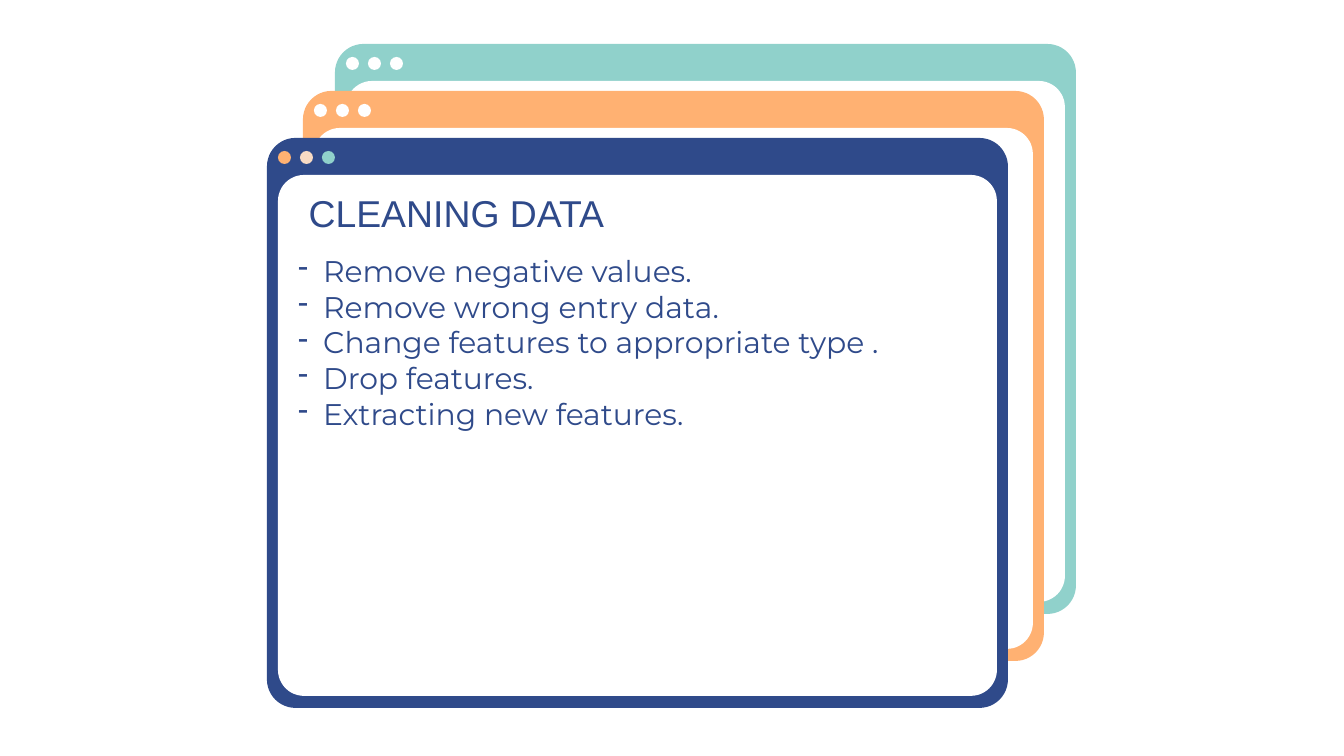
import pptx
import pptx.dml.color
import pptx.enum.shapes
import pptx.enum.text
import pptx.oxml.ns
import pptx.util
from lxml import etree

EMU_PER_PX = 914400 / 134.4
NAVY, ORANGE, TEAL, PEACH, WHITE = "2F4A8A", "FFB172", "90D1CB", "F8DBC4", "FFFFFF"
SHAPES = pptx.enum.shapes.MSO_SHAPE
ALIGN = pptx.enum.text.PP_ALIGN
ANCHOR = pptx.enum.text.MSO_ANCHOR

WINDOWS = [
    (335, 44, TEAL, [WHITE] * 3),
    (303, 91, ORANGE, [WHITE] * 3),
    (267, 138, NAVY, [ORANGE, PEACH, TEAL]),
]
STEPS = [
    "Remove negative values.",
    "Remove wrong entry data.",
    "Change features to appropriate type .",
    "Drop features.",
    "Extracting new features.",
]


def px(length):
    return pptx.util.Emu(round(length * EMU_PER_PX))


def color(value):
    return pptx.dml.color.RGBColor.from_string(value)


def add_filled(slide, kind, left, top, width, height, fill, corner=None):
    shape = slide.shapes.add_shape(kind, px(left), px(top), px(width), px(height))
    shape.shadow.inherit = False
    shape.fill.solid()
    shape.fill.fore_color.rgb = color(fill)
    shape.line.fill.background()
    if corner is not None:
        shape.adjustments[0] = corner


def add_window(slide, left, top, frame, dots):
    add_filled(slide, SHAPES.ROUNDED_RECTANGLE, left, top, 741, 570, frame, 0.05)
    add_filled(slide, SHAPES.ROUNDED_RECTANGLE, left + 11, top + 37, 719, 521, WHITE, 0.05)
    for index, fill in enumerate(dots):
        add_filled(slide, SHAPES.OVAL, left + 11 + 22 * index, top + 13, 13, 13, fill)


def add_text(slide, left, top, width, height, lines, size, font, align, anchor):
    text_frame = slide.shapes.add_textbox(px(left), px(top), px(width), px(height)).text_frame
    text_frame.word_wrap = True
    text_frame.vertical_anchor = anchor
    text_frame.margin_left = text_frame.margin_right = pptx.util.Inches(0.1)
    text_frame.margin_top = text_frame.margin_bottom = pptx.util.Inches(0.1)
    text_frame.text = "\n".join(lines)
    for paragraph in text_frame.paragraphs:
        paragraph.alignment = align
        for run in paragraph.runs:
            run.font.size = pptx.util.Pt(size)
            run.font.name = font
            run.font.color.rgb = color(NAVY)
    return text_frame


def add_dashes(text_frame, indent):
    for paragraph in text_frame.paragraphs:
        properties = paragraph._p.get_or_add_pPr()
        properties.set("marL", str(px(indent)))
        properties.set("indent", str(-px(indent)))
        bullet = etree.SubElement(properties, pptx.oxml.ns.qn("a:buChar"))
        bullet.set("char", "-")


def main():
    presentation = pptx.Presentation()
    presentation.slide_width = px(1344)
    presentation.slide_height = px(756)
    slide = presentation.slides.add_slide(presentation.slide_layouts[6])
    for window in WINDOWS:
        add_window(slide, *window)
    add_text(slide, 292, 187, 329, 52, ["CLEANING DATA"], 20, "Arial", ALIGN.CENTER, ANCHOR.MIDDLE)
    steps = add_text(slide, 285, 239, 689, 442, STEPS, 16, "Montserrat", ALIGN.JUSTIFY, ANCHOR.TOP)
    add_dashes(steps, 25)
    presentation.save("out.pptx")


if __name__ == "__main__":
    main()
